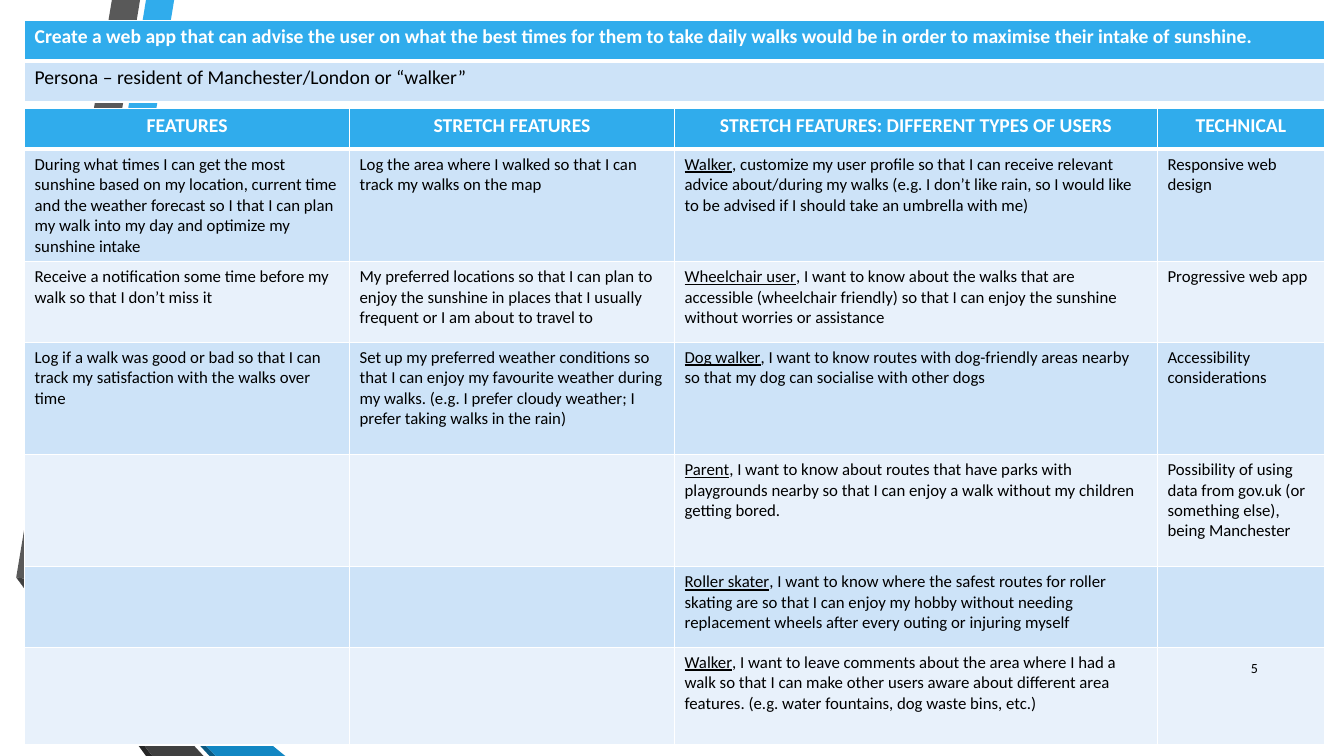
from pptx import Presentation
from pptx.dml.color import RGBColor
from pptx.enum.text import MSO_ANCHOR, PP_ALIGN
from pptx.oxml import parse_xml
from pptx.oxml.ns import nsdecls
from pptx.util import Cm, Pt

GOAL = [
    ["Create a web app that can advise the user on what the best times for them to take "
     "daily walks would be in order to maximise their intake of sunshine."],
    ["Persona – resident of Manchester/London or “walker”"],
]
# A pair is a user type, underlined, and that user's story.
FEATURES = [
    ["FEATURES", "STRETCH FEATURES", "STRETCH FEATURES: DIFFERENT TYPES OF USERS", "TECHNICAL"],
    ["During what times I can get the most sunshine based on my location, current time and "
     "the weather forecast so I that I can plan my walk into my day and optimize my sunshine intake",
     "Log the area where I walked so that I can track my walks on the map",
     ("Walker", ", customize my user profile so that I can receive relevant advice about/during "
      "my walks (e.g. I don’t like rain, so I would like to be advised if I should take an "
      "umbrella with me)"),
     "Responsive web design"],
    ["Receive a notification some time before my walk so that I don’t miss it",
     "My preferred locations so that I can plan to enjoy the sunshine in places that I usually "
     "frequent or I am about to travel to",
     ("Wheelchair user", ", I want to know about the walks that are accessible (wheelchair "
      "friendly) so that I can enjoy the sunshine without worries or assistance"),
     "Progressive web app"],
    ["Log if a walk was good or bad so that I can track my satisfaction with the walks over time",
     "Set up my preferred weather conditions so that I can enjoy my favourite weather during my "
     "walks. (e.g. I prefer cloudy weather; I prefer taking walks in the rain)",
     ("Dog walker", ", I want to know routes with dog-friendly areas nearby so that my dog can "
      "socialise with other dogs"),
     "Accessibility considerations"],
    ["", "",
     ("Parent", ", I want to know about routes that have parks with playgrounds nearby so that "
      "I can enjoy a walk without my children getting bored."),
     "Possibility of using data from gov.uk (or something else), being Manchester"],
    ["", "",
     ("Roller skater", ", I want to know where the safest routes for roller skating are so that "
      "I can enjoy my hobby without needing replacement wheels after every outing or injuring "
      "myself"),
     ""],
    ["", "",
     ("Walker", ", I want to leave comments about the area where I had a walk so that I can make "
      "other users aware about different area features. (e.g. water fountains, dog waste bins, "
      "etc.)"),
     ""],
]
PAGE_NUMBER = "5"

THEME = {
    "font": "Calibri", "text": "000000", "white": "FFFFFF", "accent": "30ACEC",
    "bands": ("CDE3F8", "E8F1FB"),
    "heading": 14, "body": 12, "small": 10, "rule": 1, "heading_rule": 3,
}

# Ribbon faces behind the tables: colour and corners in cm
RIBBONS = [
    (THEME["accent"], [(1.27, 14.68), (1.96, 14.81), (4.39, 0), (3.68, 0)]),
    ("595959", [(3.53, 0), (2.82, 0), (0.41, 14.55), (1.12, 14.66)]),
    ("262626", [(0.41, 14.55), (3.68, 19.05), (3.84, 19.05)]),
    ("0C5A82", [(1.27, 14.71), (5.28, 19.05), (5.44, 19.05)]),
    ("1287C3", [(1.27, 14.71), (5.44, 19.05), (7.19, 19.05), (1.96, 14.81), (1.27, 14.68)]),
    ("404040", [(5.13, 19.05), (1.22, 14.81), (1.09, 14.68), (1.12, 14.66),
                (0.41, 14.55), (3.84, 19.05)]),
]

TABLE_LEFT = 0.62
COLUMNS = [8.19, 8.19, 12.17, 4.21]
FEATURE_ROWS = [1.02, 2.83, 2.03, 2.83, 2.83, 2.03, 2.46]
GOAL_ROWS = [1.03, 1.03]


def colour(name):
    return RGBColor.from_string(name)


def write(frame, text, size=THEME["body"], color=THEME["text"], bold=False,
          align=PP_ALIGN.LEFT):
    """Write a string, or a pair whose first part is underlined."""
    paragraph = frame.paragraphs[0]
    paragraph.alignment = align
    parts = text if isinstance(text, tuple) else (text,)
    for index, part in enumerate(parts):
        run = paragraph.add_run()
        run.text = part
        font = run.font
        font.name, font.size, font.bold = THEME["font"], Pt(size), bold
        font.color.rgb = colour(color)
        font.underline = len(parts) > 1 and index == 0


def add_borders(cell, top, bottom):
    rule = THEME["rule"]
    for side, width in (("L", rule), ("R", rule), ("T", top), ("B", bottom)):
        cell._tc.get_or_add_tcPr().append(parse_xml(
            f'<a:ln{side} {nsdecls("a")} w="{Pt(width)}"><a:solidFill>'
            f'<a:srgbClr val="{THEME["white"]}"/></a:solidFill></a:ln{side}>'))


def add_grid(slide, content, top, widths, heights, body_size, heading_align):
    grid = slide.shapes.add_table(
        len(heights), len(widths), Cm(TABLE_LEFT), Cm(top),
        Cm(sum(widths)), Cm(sum(heights))).table
    for column, width in zip(grid.columns, widths):
        column.width = Cm(width)
    for r, (row, height) in enumerate(zip(content, heights)):
        grid.rows[r].height = Cm(height)
        heading = r == 0
        for c, text in enumerate(row):
            cell = grid.cell(r, c)
            add_borders(cell,
                        top=THEME["heading_rule" if r == 1 else "rule"],
                        bottom=THEME["heading_rule" if heading else "rule"])
            cell.fill.solid()
            cell.fill.fore_color.rgb = colour(
                THEME["accent"] if heading else THEME["bands"][(r - 1) % 2])
            if heading:
                write(cell.text_frame, text, size=THEME["heading"], color=THEME["white"],
                      bold=True, align=heading_align)
            elif text:
                write(cell.text_frame, text, size=body_size)


def add_ribbon(slide, fill, corners):
    points = [(Cm(x), Cm(y)) for x, y in corners]
    builder = slide.shapes.build_freeform(*points[0])
    builder.add_line_segments(points[1:], close=True)
    ribbon = builder.convert_to_shape()
    ribbon.shadow.inherit = False
    ribbon.fill.solid()
    ribbon.fill.fore_color.rgb = colour(fill)
    ribbon.line.fill.background()


def main():
    deck = Presentation()
    deck.slide_width, deck.slide_height = Cm(33.87), Cm(19.05)
    slide = deck.slides.add_slide(deck.slide_layouts[6])
    for fill, corners in RIBBONS:
        add_ribbon(slide, fill, corners)
    add_grid(slide, FEATURES, 2.74, COLUMNS, FEATURE_ROWS, THEME["body"], PP_ALIGN.CENTER)
    add_grid(slide, GOAL, 0.51, [sum(COLUMNS)], GOAL_ROWS, THEME["heading"], PP_ALIGN.LEFT)
    page = slide.shapes.add_textbox(Cm(30.43), Cm(16.31), Cm(1.52), Cm(1.02)).text_frame
    page.word_wrap = True
    page.vertical_anchor = MSO_ANCHOR.MIDDLE
    write(page, PAGE_NUMBER, size=THEME["small"], align=PP_ALIGN.RIGHT)
    deck.save("out.pptx")


if __name__ == "__main__":
    main()
